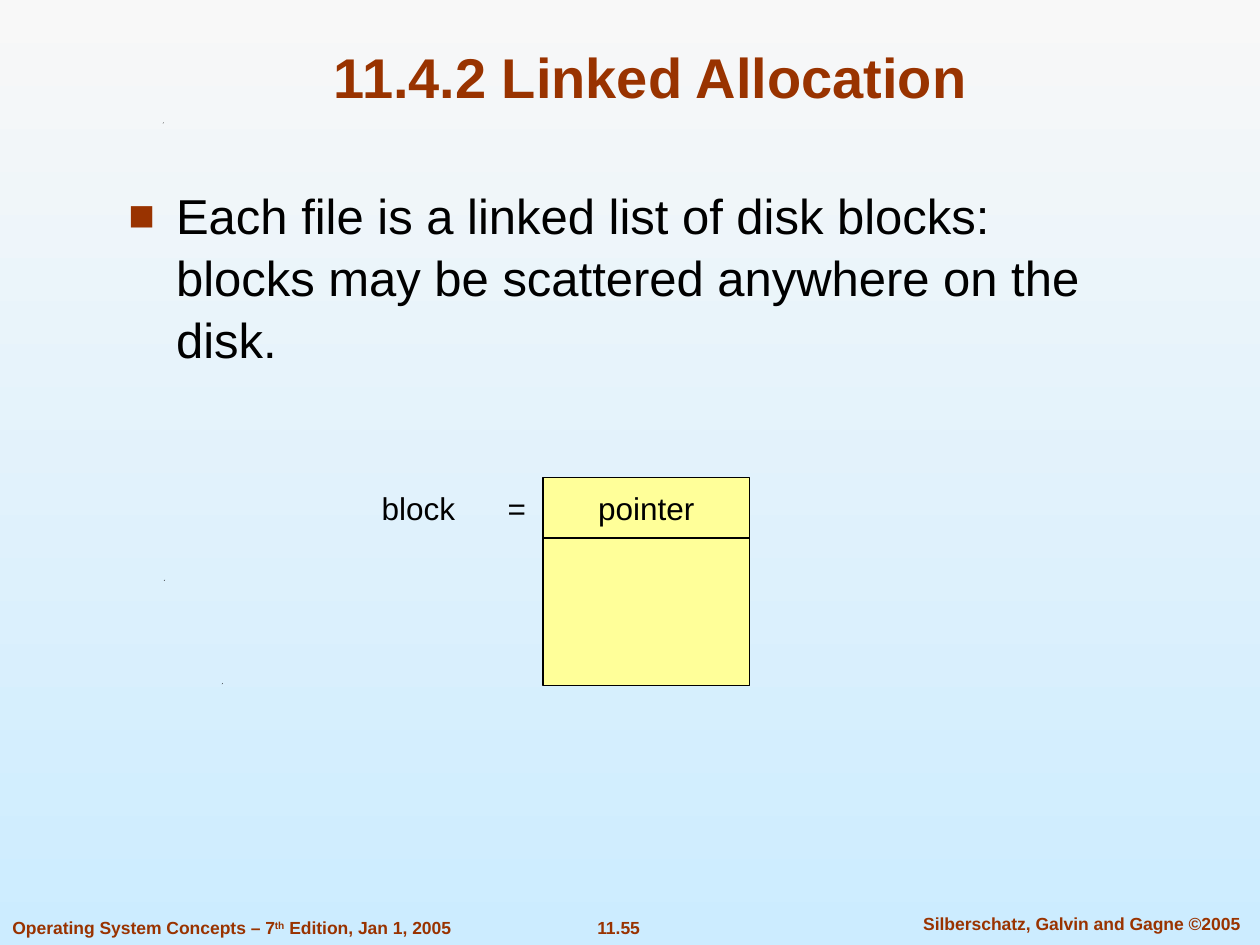
from lxml import etree
from pptx import Presentation
from pptx.dml.color import RGBColor
from pptx.enum import shapes, text
from pptx.oxml import ns
from pptx.util import Inches, Pt

FONT = "Arial"
RUST = RGBColor(0x99, 0x33, 0x00)
BLACK = RGBColor(0, 0, 0)
YELLOW = RGBColor(0xFF, 0xFF, 0x99)
SKY_TOP = RGBColor(0xF8, 0xF8, 0xF8)
SKY_BOTTOM = RGBColor(0xCC, 0xEC, 0xFF)

LEFT, CENTER = text.PP_ALIGN.LEFT, text.PP_ALIGN.CENTER
TOP, MIDDLE, BOTTOM = (text.MSO_ANCHOR.TOP, text.MSO_ANCHOR.MIDDLE,
                       text.MSO_ANCHOR.BOTTOM)


def paint_background(slide):
    fill = slide.background.fill
    fill.gradient()
    fill.gradient_angle = 270
    for stop, color, position in zip(fill.gradient_stops,
                                     (SKY_TOP, SKY_BOTTOM), (0, 1)):
        stop.color.rgb = color
        stop.position = position


def style(paragraph, size, color, bold=False, align=LEFT):
    paragraph.alignment = align
    font = paragraph.font
    font.name, font.size, font.bold = FONT, Pt(size), bold
    font.color.rgb = color


def add_label(slide, box, words, size, color, bold=False, align=LEFT,
              anchor=TOP, wrap=True):
    """Add a one-paragraph text box and return the paragraph."""
    frame = slide.shapes.add_textbox(*map(Inches, box)).text_frame
    frame.word_wrap = wrap
    frame.vertical_anchor = anchor
    paragraph = frame.paragraphs[0]
    paragraph.add_run().text = words
    style(paragraph, size, color, bold, align)
    return paragraph


def add_property(paragraph, tag, **attributes):
    """Insert a bullet or tab element before the default run properties."""
    element = etree.Element(ns.qn(tag), attributes)
    properties = paragraph._p.get_or_add_pPr()
    properties.find(ns.qn("a:defRPr")).addprevious(element)
    return element


def add_square_bullet(paragraph, indent):
    properties = paragraph._p.get_or_add_pPr()
    properties.set("marL", str(Inches(indent)))
    properties.set("indent", str(-Inches(indent)))
    color = add_property(paragraph, "a:buClr")
    etree.SubElement(color, ns.qn("a:srgbClr"), val=str(RUST))
    add_property(paragraph, "a:buSzPct", val="90000")
    add_property(paragraph, "a:buFont", typeface=FONT)
    add_property(paragraph, "a:buChar", char="■")


def add_tab_stop(paragraph, position):
    tabs = add_property(paragraph, "a:tabLst")
    etree.SubElement(tabs, ns.qn("a:tab"), pos=str(Inches(position)), algn="l")


def add_block_part(slide, top, height, words=""):
    part = slide.shapes.add_shape(
        shapes.MSO_SHAPE.RECTANGLE,
        *map(Inches, (4.31, top, 1.64, height)))
    part.shadow.inherit = False
    part.fill.solid()
    part.fill.fore_color.rgb = YELLOW
    part.line.color.rgb = BLACK
    part.line.width = Pt(0.75)
    if words:
        frame = part.text_frame
        frame.word_wrap = False
        frame.vertical_anchor = MIDDLE
        frame.paragraphs[0].add_run().text = words
        style(frame.paragraphs[0], 18, BLACK, align=CENTER)


def add_speck(slide, left, top):
    size = Inches(0.01)
    x, y = Inches(left), Inches(top)
    builder = slide.shapes.build_freeform(x, y + size)
    builder.add_line_segments([(x + size, y), (x + size // 2, y + size)])
    speck = builder.convert_to_shape()
    speck.shadow.inherit = False
    speck.fill.solid()
    speck.fill.fore_color.rgb = BLACK
    speck.line.fill.background()


def add_footer(slide):
    add_label(slide, (4.63, 7.23, 0.56, 0.27), "11.55", 10, RUST, True,
              CENTER, wrap=False)
    add_label(slide, (7.1, 7.2, 2.97, 0.27),
              "Silberschatz, Galvin and Gagne ©2005", 10, RUST, True, CENTER)
    edition = add_label(slide, (0, 7.23, 3.69, 0.27),
                        "Operating System Concepts – 7", 10, RUST, True,
                        wrap=False)
    ordinal = edition.add_run()
    ordinal.text = "th"
    ordinal.font._element.set("baseline", "30000")
    edition.add_run().text = " Edition, Jan 1, 2005"


def main():
    deck = Presentation()
    deck.slide_width, deck.slide_height = Inches(10), Inches(7.5)
    slide = deck.slides.add_slide(deck.slide_layouts[6])
    paint_background(slide)
    for left, top in ((1.76, 5.42), (1.3, 4.6), (1.29, 0.97)):
        add_speck(slide, left, top)
    add_footer(slide)

    add_label(slide, (0.75, 0.25, 8.83, 0.67), "11.4.2 Linked Allocation",
              32, RUST, True, CENTER, BOTTOM)
    statement = add_label(
        slide, (0.92, 1.4, 8.04, 0.81),
        "Each file is a linked list of disk blocks: "
        "blocks may be scattered anywhere on the disk.", 28, BLACK)
    statement.line_spacing = 1.05
    add_square_bullet(statement, 0.38)

    add_block_part(slide, 3.79, 0.48, "pointer")
    add_block_part(slide, 4.27, 1.17)
    equation = add_label(slide, (2.93, 3.83, 1.35, 0.4), "block\t=", 18,
                         BLACK, anchor=MIDDLE)
    add_tab_stop(equation, 1)

    deck.save("out.pptx")


if __name__ == "__main__":
    main()
